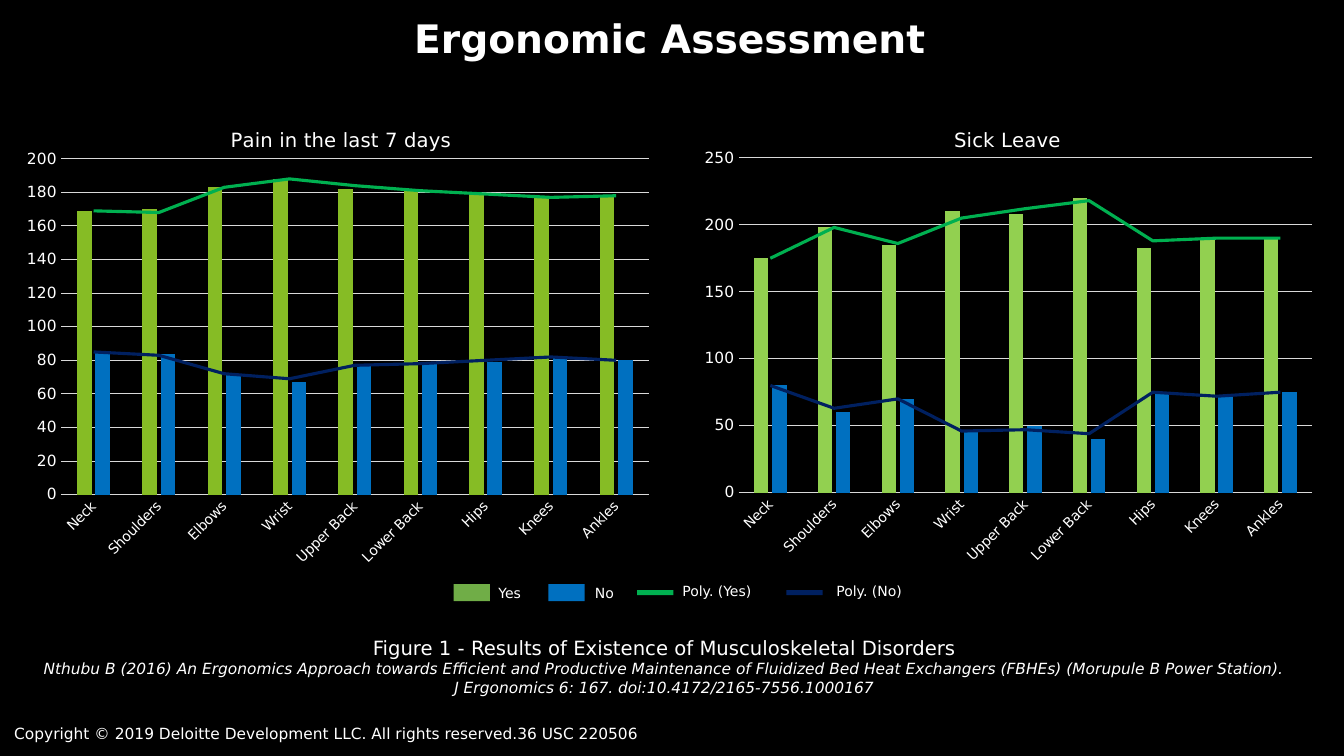
from pptx import Presentation
from pptx.chart.data import CategoryChartData
from pptx.dml.color import RGBColor
from pptx.enum.chart import XL_CHART_TYPE as ChartType, XL_MARKER_STYLE as Marker, XL_TICK_MARK as Tick
from pptx.enum.shapes import MSO_SHAPE as Shape
from pptx.enum.text import MSO_ANCHOR as Anchor, PP_ALIGN as Align
from pptx.oxml import parse_xml
from pptx.oxml.ns import nsdecls, qn
from pptx.util import Inches, Pt

FONT = "DejaVu Sans"
WHITE, BLACK, GRID = "FFFFFF", "000000", "D9D9D9"
LEAF, LIME, YES_KEY = "86BC25", "92D050", "70AD47"
BLUE, GREEN, NAVY = "0070C0", "00B050", "002060"
BODY_PARTS = ["Neck", "Shoulders", "Elbows", "Wrist", "Upper Back",
              "Lower Back", "Hips", "Knees", "Ankles"]
PAIN = [
    [169, 170, 183, 188, 182, 181, 179, 177, 178],
    [85, 84, 72, 67, 77, 78, 79, 82, 80],
    [169, 168, 183, 188, 184, 181, 179, 177, 178],
    [85, 83, 72, 69, 77, 78, 80, 82, 80],
]
SICK_LEAVE = [
    [175, 198, 185, 210, 208, 220, 183, 190, 190],
    [80, 60, 70, 45, 50, 40, 75, 72, 75],
    [175, 198, 186, 205, 212, 218, 188, 190, 190],
    [80, 63, 70, 46, 47, 44, 75, 72, 75],
]


def rgb(code):
    """Turn a hex string into a colour."""
    return RGBColor.from_string(code)


def style_font(font, size, color=WHITE, bold=False, italic=False):
    """Set typeface, size, colour and emphasis."""
    font.name, font.size, font.bold, font.italic = FONT, Pt(size), bold, italic
    font.color.rgb = rgb(color)


def style_line(line, color, width):
    """Give a line its colour and its width in points."""
    line.color.rgb = rgb(color)
    line.width = Pt(width)


def add_text(shapes, box, *lines, size=10, align=Align.LEFT, wrap=True,
             anchor=Anchor.TOP, inset=0.1, spacing=None, **emphasis):
    """Write lines, each a string or a (string, format) pair, in a box."""
    frame = shapes.add_textbox(*map(Inches, box)).text_frame
    frame.word_wrap, frame.vertical_anchor = wrap, anchor
    frame.margin_left = frame.margin_right = Inches(inset)
    for index, line in enumerate(lines):
        words, changes = (line, {}) if isinstance(line, str) else line
        paragraph = frame.add_paragraph() if index else frame.paragraphs[0]
        paragraph.alignment, paragraph.line_spacing = align, spacing
        run = paragraph.add_run()
        run.text = words
        style_font(run.font, **{"size": size, **emphasis, **changes})


def set_layout(parent, index, inner=False, **fractions):
    """Place a chart part by fractions of the chart's size."""
    for old in parent.findall(qn("c:layout")):
        parent.remove(old)
    target = '<c:layoutTarget val="inner"/>' if inner else ""
    modes = "".join(f'<c:{key}Mode val="edge"/>' for key in "xy")
    values = "".join(f'<c:{key} val="{value}"/>' for key, value in fractions.items())
    parent.insert(index, parse_xml(
        f'<c:layout {nsdecls("c")}><c:manualLayout>{target}{modes}{values}'
        "</c:manualLayout></c:layout>"))


def move_trends_to_lines(chart):
    """Turn the third and fourth column series into lines."""
    columns = chart._chartSpace.find(".//" + qn("c:barChart"))
    lines = parse_xml(f'<c:lineChart {nsdecls("c")}><c:grouping val="standard"/>'
                      '<c:varyColors val="0"/></c:lineChart>')
    for trend in columns.findall(qn("c:ser"))[2:]:
        for inversion in trend.findall(qn("c:invertIfNegative")):
            trend.remove(inversion)
        lines.append(trend)
    lines.append(parse_xml(f'<c:marker {nsdecls("c")} val="1"/>'))
    for axis in columns.findall(qn("c:axId")):
        lines.append(parse_xml(f'<c:axId {nsdecls("c")} val="{axis.get("val")}"/>'))
    columns.addnext(lines)


def style_axes(chart, top, step):
    """Format the body part axis and the count axis."""
    parts, counts = chart.category_axis, chart.value_axis
    for axis, size in ((parts, 10), (counts, 11)):
        axis.major_tick_mark = axis.minor_tick_mark = Tick.NONE
        style_font(axis.tick_labels.font, size)
    labels = parts._element.find(qn("c:txPr")).find(qn("a:bodyPr"))
    labels.set("rot", "-2700000")
    labels.set("vert", "horz")
    style_line(parts.format.line, GRID, 0.75)
    counts.minimum_scale, counts.maximum_scale, counts.major_unit = 0, top, step
    counts.format.line.fill.background()
    counts.has_major_gridlines = True
    style_line(counts.major_gridlines.format.line, GRID, 0.75)


def add_survey_chart(slide, box, title, answers, yes_color, top, step,
                     title_place, plot_place):
    """Draw Yes and No columns with their trend lines."""
    data = CategoryChartData()
    data.categories = BODY_PARTS
    for number, values in enumerate(answers, 1):
        data.add_series(f"Series {number}", values)
    chart = slide.shapes.add_chart(
        ChartType.COLUMN_CLUSTERED, *map(Inches, box), data).chart
    style_font(chart.font, 10, BLACK)
    chart.has_legend = False
    chart.has_title = True
    heading = chart.chart_title.text_frame
    heading.text = title
    style_font(heading.paragraphs[0].runs[0].font, 14)
    set_layout(chart.chart_title._element, 1, **title_place)
    set_layout(chart._chartSpace.find(".//" + qn("c:plotArea")), 0, inner=True, **plot_place)
    style_axes(chart, top, step)
    move_trends_to_lines(chart)
    columns, trends = chart.plots
    columns.gap_width, columns.overlap = 219, -27
    columns.vary_by_categories = False
    for answer, color in zip(columns.series, (yes_color, BLUE)):
        answer.format.fill.solid()
        answer.format.fill.fore_color.rgb = rgb(color)
    for trend, color in zip(trends.series, (GREEN, NAVY)):
        trend.smooth = False
        trend.marker.style = Marker.NONE
        style_line(trend.format.line, color, 2.25)


def add_legend(slide, left, middle):
    """Draw the shared legend, centred on a height."""
    legend = slide.shapes.add_group_shape().shapes
    entries = [
        ("Yes", YES_KEY, 0, 0.17, 0.3, 0.51, 0),
        ("No", BLUE, 0.94, 0.17, 1.24, 0.51, 0),
        ("Poly. (Yes)", GREEN, 1.82, 0.05, 2.07, 1.08, -0.02),
        ("Poly. (No)", NAVY, 3.3, 0.05, 3.58, 1.08, -0.02),
    ]
    for label, color, key_x, key_height, label_x, label_width, lift in entries:
        key = legend.add_shape(
            Shape.RECTANGLE, Inches(left + key_x), Inches(middle - key_height / 2),
            Inches(0.36), Inches(key_height))
        key.shadow.inherit = False
        key.fill.solid()
        key.fill.fore_color.rgb = rgb(color)
        key.line.fill.background()
        add_text(legend, (left + label_x, middle - 0.13 + lift, label_width, 0.27),
                 label, align=Align.CENTER)


def add_caption(slide, box):
    """Write the figure caption and its citation."""
    citation = {"size": 11, "italic": True}
    add_text(
        slide.shapes, box,
        ("Figure 1 - Results of Existence of Musculoskeletal Disorders", {"size": 14}),
        ("Nthubu B (2016) An Ergonomics Approach towards Efficient and Productive "
         "Maintenance of Fluidized Bed Heat Exchangers (FBHEs) (Morupule B Power Station).",
         citation),
        ("J Ergonomics 6: 167. doi:10.4172/2165-7556.1000167", citation),
        align=Align.CENTER)


def main():
    """Build and save the slide."""
    deck = Presentation()
    deck.slide_width, deck.slide_height = Inches(13.33), Inches(7.5)
    slide = deck.slides.add_slide(deck.slide_layouts[6])
    slide.background.fill.solid()
    slide.background.fill.fore_color.rgb = rgb(BLACK)
    add_survey_chart(
        slide, (0.16, 1.02, 6.34, 5.05), "Pain in the last 7 days", PAIN, LEAF, 200, 20,
        {"x": 0.33, "y": 0.04}, {"x": 0.07, "y": 0.11, "w": 0.92, "h": 0.66})
    add_survey_chart(
        slide, (6.83, 1.02, 6.19, 4.96), "Sick Leave", SICK_LEAVE, LIME, 250, 50,
        {"x": 0.42, "y": 0.04}, {"x": 0.08, "y": 0.11, "w": 0.92, "h": 0.67})
    add_caption(slide, (0.16, 6.26, 12.86, 0.7))
    add_text(slide.shapes, (4.01, 0.09, 5.31, 0.57), "Ergonomic Assessment",
             size=28, bold=True, wrap=False)
    add_legend(slide, 4.5, 5.88)
    add_text(slide.shapes, (0.14, 7.04, 9.65, 0.38),
             "Copyright © 2019 Deloitte Development LLC. All rights reserved.36 USC 220506",
             size=11, anchor=Anchor.BOTTOM, inset=0, spacing=Pt(9))
    deck.save("out.pptx")


if __name__ == "__main__":
    main()
